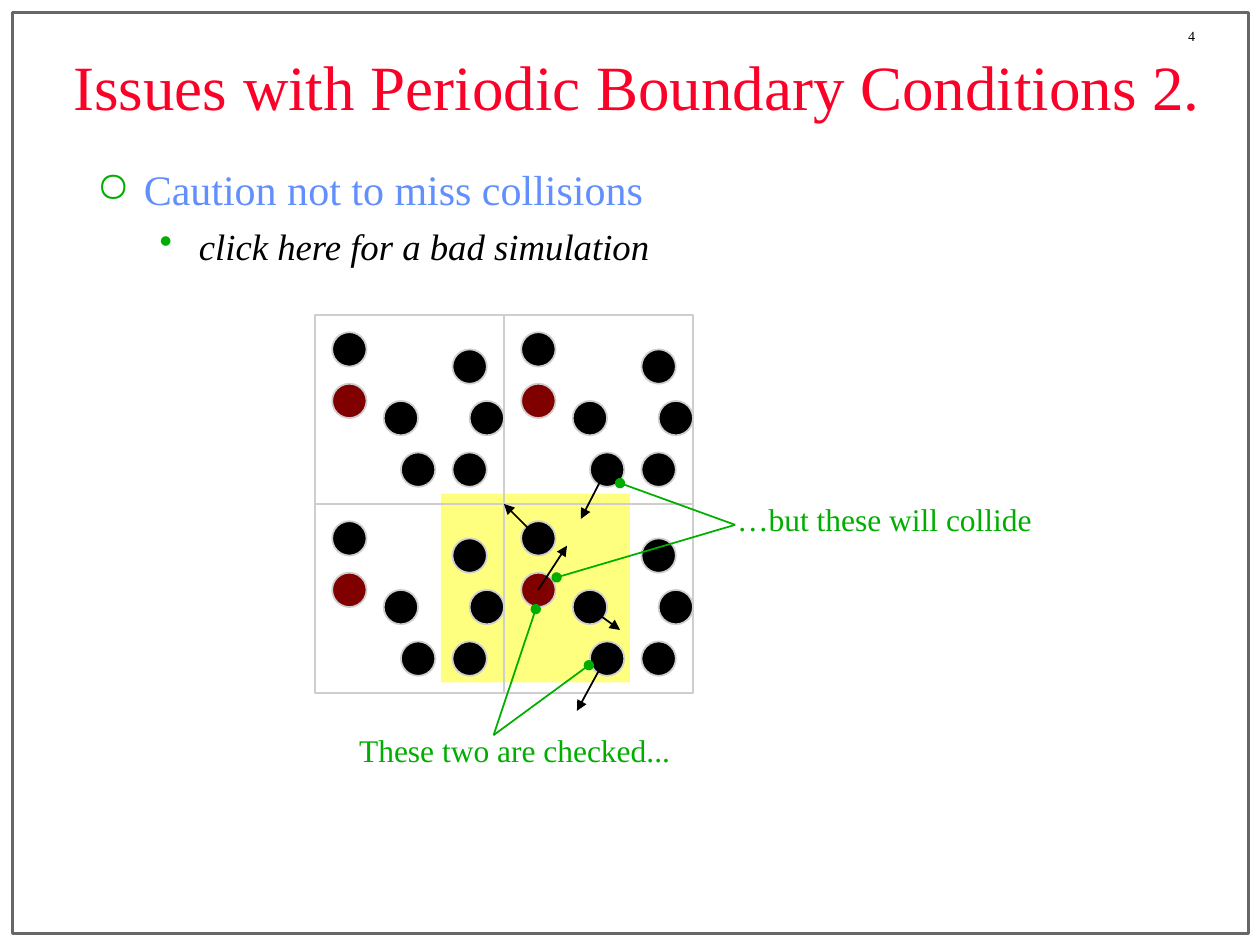
from itertools import product
from typing import NamedTuple, Optional

from pptx import Presentation
from pptx.dml.color import RGBColor
from pptx.enum.shapes import MSO_CONNECTOR, MSO_SHAPE
from pptx.enum.text import MSO_ANCHOR, PP_ALIGN
from pptx.oxml.ns import qn
from pptx.util import Cm, Pt
from lxml import etree

RECT = MSO_SHAPE.RECTANGLE
OVAL = MSO_SHAPE.OVAL
STRAIGHT = MSO_CONNECTOR.STRAIGHT
CENTER = PP_ALIGN.CENTER
MIDDLE = MSO_ANCHOR.MIDDLE

FONT = "Times New Roman"
BLACK, GREEN, GREY = "000000", "00AE00", "CECECE"
RED, BLUE, MAROON = "FC0128", "618FFD", "800000"

# The periodic cell is divided into 11 steps; a particle is two steps wide.
CELL = 3.81
STEP = CELL / 11
GRID_LEFT = GRID_TOP = 6.35


class Particle(NamedTuple):
    col: int
    row: int
    color: str = BLACK


class Box(NamedTuple):
    left: float
    top: float
    width: float
    height: float


class Line(NamedTuple):
    x1: float
    y1: float
    x2: float
    y2: float
    color: str
    end: str


class Para(NamedTuple):
    text: str
    size: float
    color: str
    italic: bool = False
    bullet: str = ""
    margin: float = 0
    hanging: float = 0
    before: float = 0


PARTICLES = [
    Particle(1, 4, MAROON), Particle(4, 5), Particle(5, 8), Particle(8, 2),
    Particle(9, 5), Particle(8, 8), Particle(1, 1),
]
VELOCITIES = [
    Line(10.8, 10.8, 10.16, 10.16, BLACK, "triangle"),
    Line(11.91, 12.27, 12.5, 12.7, BLACK, "triangle"),
    Line(10.85, 11.89, 11.43, 11, BLACK, "triangle"),
    Line(12.22, 9.47, 11.71, 10.46, BLACK, "triangle"),
    Line(12.17, 13.34, 11.63, 14.33, BLACK, "triangle"),
]
POINTERS = [
    Line(9.95, 14.82, 10.8, 12.28, GREEN, "oval"),
    Line(9.95, 14.82, 11.87, 13.41, GREEN, "oval"),
    Line(14.82, 10.58, 12.5, 9.74, GREEN, "oval"),
    Line(14.82, 10.58, 11.22, 11.64, GREEN, "oval"),
]


def rgb(value: str) -> RGBColor:
    return RGBColor.from_string(value)


def add_shape(slide, kind, box: Box, fill: Optional[str] = None,
              line: Optional[str] = None, width: float = 1):
    sp = slide.shapes.add_shape(kind, *(Cm(v) for v in box))
    sp.shadow.inherit = False
    if fill:
        sp.fill.solid()
        sp.fill.fore_color.rgb = rgb(fill)
    else:
        sp.fill.background()
    if line:
        sp.line.color.rgb = rgb(line)
        sp.line.width = Pt(width)
    else:
        sp.line.fill.background()
    return sp


def set_bullet(p, para: Para) -> None:
    pPr = p._p.get_or_add_pPr()
    pPr.set("marL", str(Cm(para.margin)))
    pPr.set("indent", str(-Cm(para.hanging)))
    color = etree.SubElement(pPr, qn("a:buClr"))
    etree.SubElement(color, qn("a:srgbClr"), val=GREEN)
    etree.SubElement(pPr, qn("a:buChar"), char=para.bullet)


def add_text(slide, box: Box, paras: list[Para], align=None, anchor=None,
             wrap: bool = True) -> None:
    tf = slide.shapes.add_textbox(*(Cm(v) for v in box)).text_frame
    tf.word_wrap = wrap
    if anchor is not None:
        tf.vertical_anchor = anchor
    for i, para in enumerate(paras):
        p = tf.add_paragraph() if i else tf.paragraphs[0]
        p.text = para.text
        if align is not None:
            p.alignment = align
        if para.before:
            p.space_before = Pt(para.before)
        if para.bullet:
            set_bullet(p, para)
        font = p.runs[0].font
        font.name, font.size = FONT, Pt(para.size)
        font.italic = para.italic
        font.color.rgb = rgb(para.color)


def add_line(slide, line: Line) -> None:
    cxn = slide.shapes.add_connector(
        STRAIGHT, Cm(line.x1), Cm(line.y1), Cm(line.x2), Cm(line.y2))
    cxn.line.color.rgb = rgb(line.color)
    cxn.line.width = Pt(1)
    etree.SubElement(cxn.line._get_or_add_ln(), qn("a:tailEnd"), type=line.end)
    etree.SubElement(cxn._element.spPr, qn("a:effectLst"))


def add_cell(slide, left: float, top: float) -> None:
    """Draw one periodic image: its border and its particles."""
    add_shape(slide, RECT, Box(left, top, CELL, CELL), line=GREY)
    for particle in PARTICLES:
        box = Box(left + particle.col * STEP, top + particle.row * STEP,
                  2 * STEP, 2 * STEP)
        add_shape(slide, OVAL, box, particle.color, GREY)


def main() -> None:
    prs = Presentation()
    prs.slide_width, prs.slide_height = Cm(25.4), Cm(19.05)
    slide = prs.slides.add_slide(prs.slide_layouts[6])

    add_shape(slide, RECT, Box(0.25, 0.25, 24.92, 18.57), line="676767", width=2)
    add_text(slide, Box(23.7, 0.43, 1.7, 0.58), [Para("4", 8, BLACK)], wrap=False)
    add_text(slide, Box(0.28, 0.46, 25.12, 2.51),
             [Para("Issues with Periodic Boundary Conditions 2.", 36, RED)],
             CENTER, MIDDLE)
    add_text(slide, Box(1.7, 3.18, 22.23, 11.43), [
        Para("Caution not to miss collisions", 24, BLUE,
             bullet="○", margin=0.95, hanging=0.95),
        Para("click here for a bad simulation", 21, BLACK, italic=True,
             bullet="•", margin=2.06, hanging=0.79, before=5.2),
    ])

    region = add_shape(slide, RECT, Box(8.89, 9.95, CELL, CELL), "FFFF00")
    color = region._element.spPr.find(qn("a:solidFill"))[0]
    etree.SubElement(color, qn("a:alpha"), val="50000")

    for row, col in product(range(2), repeat=2):
        add_cell(slide, GRID_LEFT + col * CELL, GRID_TOP + row * CELL)
    for line in VELOCITIES + POINTERS:
        add_line(slide, line)

    add_text(slide, Box(6.99, 14.61, 7.62, 1.02),
             [Para("These two are checked...", 18, GREEN)])
    add_text(slide, Box(14.61, 9.95, 6.55, 1.02),
             [Para("…but these will collide", 18, GREEN)])

    prs.save("out.pptx")


if __name__ == "__main__":
    main()
